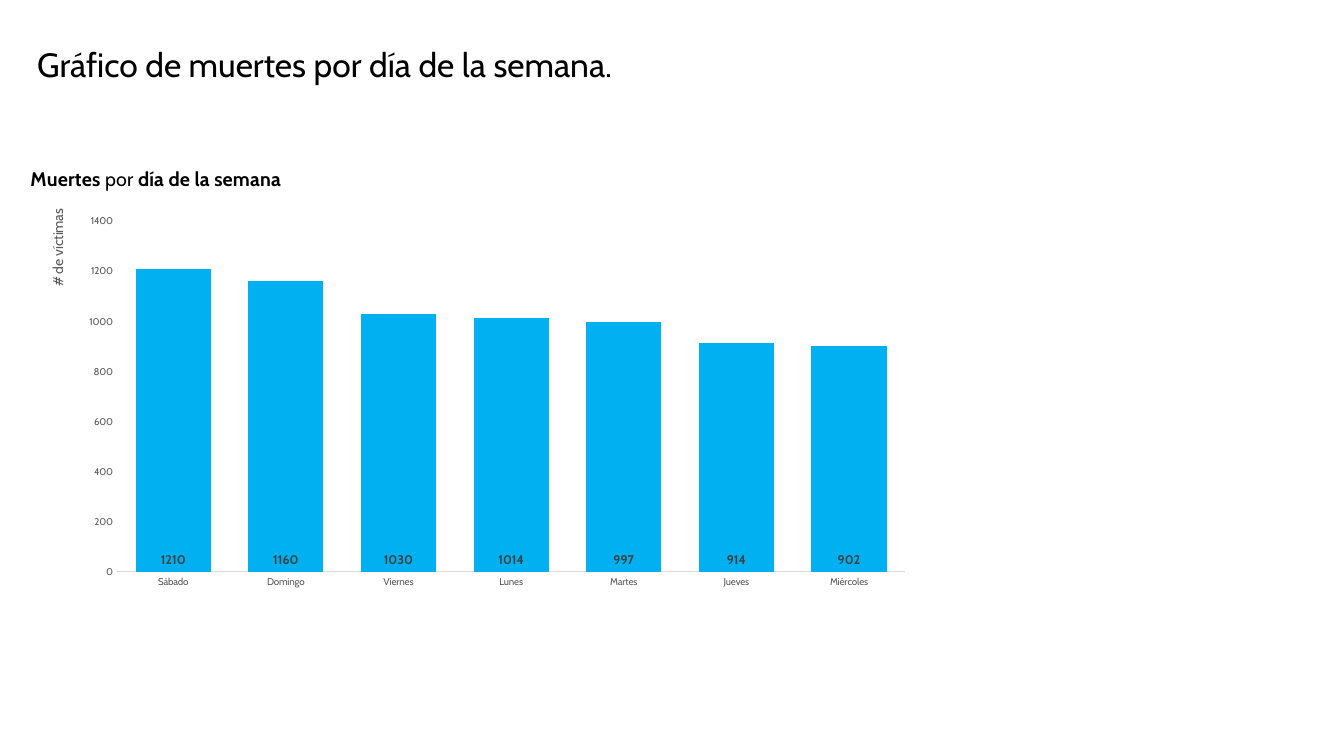
from lxml import etree
from pptx import Presentation
from pptx import util as u
from pptx.chart.data import CategoryChartData
from pptx.dml.color import RGBColor
from pptx.enum import chart as kinds
from pptx.oxml.ns import qn

BLACK = RGBColor(0x00, 0x00, 0x00)
DARK_GREY = RGBColor(0x40, 0x40, 0x40)
GREY = RGBColor(0x59, 0x59, 0x59)
LIGHT_GREY = RGBColor(0xD9, 0xD9, 0xD9)
SKY_BLUE = RGBColor(0x00, 0xB0, 0xF0)
FONT = "Cabin"

DEATHS = {
    "Sábado": 1210,
    "Domingo": 1160,
    "Viernes": 1030,
    "Lunes": 1014,
    "Martes": 997,
    "Jueves": 914,
    "Miércoles": 902,
}
CHART_TITLE = [("Muertes", True), (" por ", False), ("día de la semana", True)]


def set_font(font, size, color, bold=False):
    font.name = FONT
    font.size = u.Pt(size)
    font.bold = bold
    font.color.rgb = color


def set_layout(parent, position, **settings):
    for old in parent.findall(qn("c:layout")):
        parent.remove(old)
    layout = etree.Element(qn("c:layout"))
    manual = etree.SubElement(layout, qn("c:manualLayout"))
    for name, value in settings.items():
        etree.SubElement(manual, qn(f"c:{name}")).set("val", str(value))
    parent.insert(position, layout)


def place_title(title, x, y):
    title._element.get_or_add_tx()
    set_layout(title._element, 1, xMode="edge", yMode="edge", x=x, y=y)


def add_heading(page, left, top, width, height):
    box = page.shapes.add_textbox(u.Pt(left), u.Pt(top), u.Pt(width), u.Pt(height))
    box.text_frame.word_wrap = True
    para = box.text_frame.paragraphs[0]
    para.text = "Gráfico de muertes por día de la semana."
    set_font(para.font, 24, BLACK)


def style_axes(chart):
    days, victims = chart.category_axis, chart.value_axis
    for axis in (days, victims):
        axis.has_major_gridlines = False
        axis.major_tick_mark = kinds.XL_TICK_MARK.NONE
        axis.minor_tick_mark = kinds.XL_TICK_MARK.NONE
        set_font(axis.tick_labels.font, 7, GREY)
    days.format.line.color.rgb = LIGHT_GREY
    days.format.line.width = u.Pt(0.75)
    victims.format.line.fill.background()
    victims.minimum_scale = 0
    victims.maximum_scale = 1400
    victims.major_unit = 200
    frame = victims.axis_title.text_frame
    frame.text = "# de víctimas"
    set_font(frame.paragraphs[0].font, 10, GREY)
    frame._txBody.bodyPr.set("rot", "-5400000")
    place_title(victims.axis_title, 0.02, 0.11)


def add_chart_title(chart):
    chart.has_title = True
    para = chart.chart_title.text_frame.paragraphs[0]
    for words, bold in CHART_TITLE:
        span = para.add_run()
        span.text = words
        set_font(span.font, 14, BLACK, bold)
    place_title(chart.chart_title, 0, 0.01)


def style_columns(chart):
    plot = chart.plots[0]
    plot.gap_width = 50
    plot.overlap = -27
    plot.vary_by_categories = False
    fill = plot.series[0].format.fill
    fill.solid()
    fill.fore_color.rgb = SKY_BLUE
    plot.has_data_labels = True
    labels = plot.data_labels
    labels.show_value = True
    labels.position = kinds.XL_LABEL_POSITION.INSIDE_BASE
    set_font(labels.font, 9, DARK_GREY, True)


def add_deaths_chart(page, left, top, width, height):
    data = CategoryChartData()
    data.categories = list(DEATHS)
    data.add_series("Series 1", list(DEATHS.values()))
    chart = page.shapes.add_chart(
        kinds.XL_CHART_TYPE.COLUMN_CLUSTERED,
        u.Pt(left), u.Pt(top), u.Pt(width), u.Pt(height), data,
    ).chart
    set_font(chart.font, 7, BLACK)
    chart.has_legend = False
    add_chart_title(chart)
    style_axes(chart)
    style_columns(chart)
    plot_area = chart._chartSpace.chart.plotArea
    set_layout(plot_area, 0, layoutTarget="inner", xMode="edge", yMode="edge",
               x=0.1, y=0.144, w=0.88, h=0.8)


def main():
    deck = Presentation()
    deck.slide_width = u.Pt(960)
    deck.slide_height = u.Pt(540)
    page = deck.slides.add_slide(deck.slide_layouts[6])
    add_heading(page, 19.5, 28, 640, 36)
    add_deaths_chart(page, 19.5, 113, 640, 313)
    deck.save("out.pptx")


if __name__ == "__main__":
    main()
